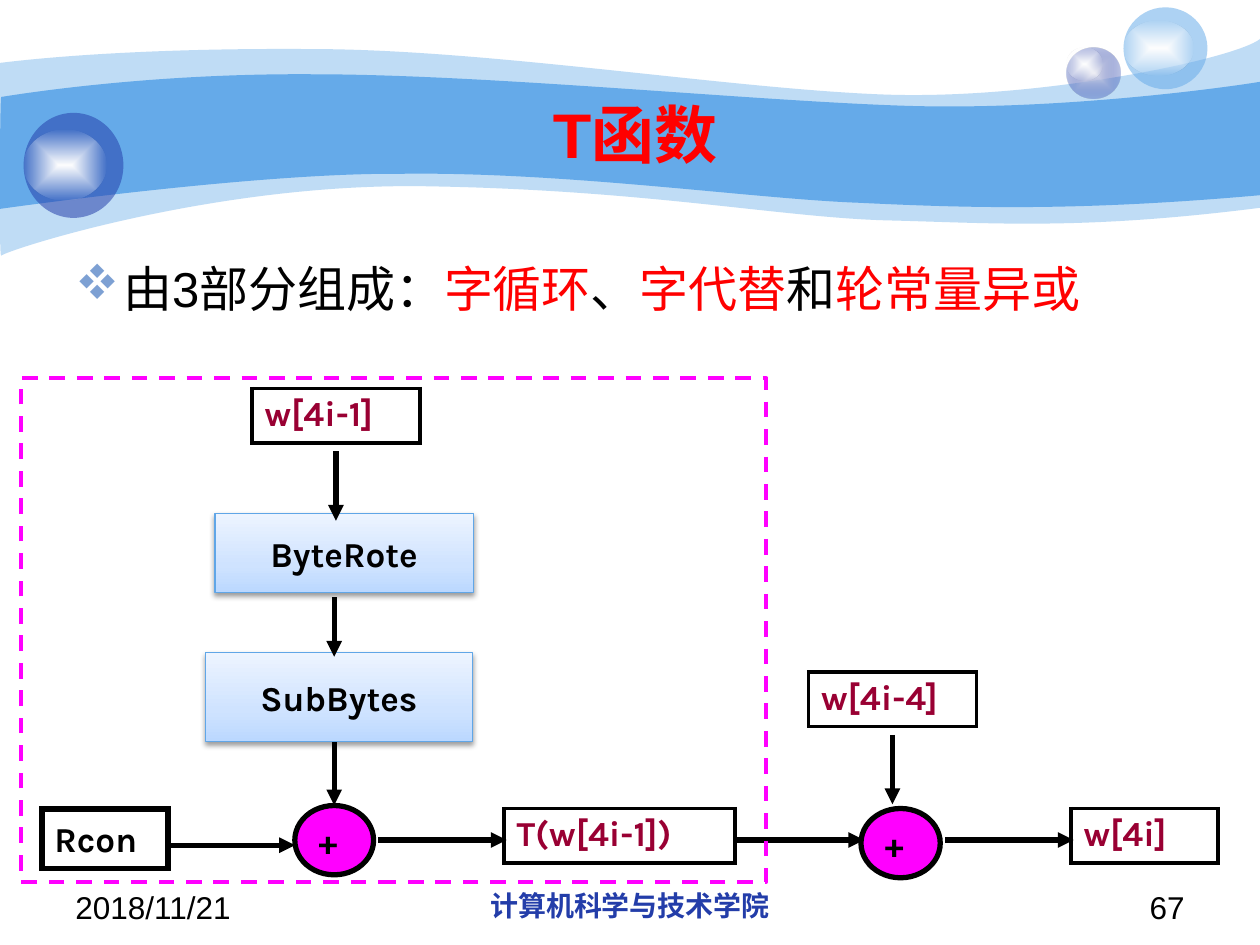
from dataclasses import dataclass
from typing import NamedTuple

from lxml.etree import SubElement as Sub
from pptx import Presentation
from pptx.dml.color import RGBColor as RGB
from pptx.enum.dml import MSO_LINE as Dash
from pptx.enum.shapes import MSO_CONNECTOR as Link, MSO_SHAPE as Kind
from pptx.enum.text import MSO_ANCHOR as Anchor, PP_ALIGN as Align
from pptx.oxml.ns import qn
from pptx.util import Inches, Pt

HUES = {"sky": "65AAE9", "navy": "233DA9", "mist": "E1E2ED", "white": "FFFFFF",
        "black": "000000", "red": "FF0000", "wine": "990033", "pink": "FF00FF",
        "edge": "60A6E7", "low": "BBD8FF", "mid": "CFE3FF", "high": "EDF4FF",
        "bullet": "7DA0D3"}
CODE = {"name": "Karla", "size": Pt(20), "bold": True}
COLS, ROWS = 120, 90  # slide grid, twelve cells to the inch

deck = Presentation()
deck.slide_width, deck.slide_height = Inches(10), Inches(7.5)
slide = deck.slides.add_slide(deck.slide_layouts[6])
shapes = slide.shapes


class Area(NamedTuple):
    x: float
    y: float
    w: float
    h: float


class Stop(NamedTuple):
    pos: int
    hue: str
    alpha: int = 100


@dataclass
class Ball:
    body: Area
    shine: Area
    stops: list[Stop]


@dataclass
class Box:
    text: str
    area: Area
    kind: Kind = Kind.RECTANGLE
    fill: str = ""  # empty means the blue gradient with a shadow


@dataclass
class Word:
    text: str
    x: float
    y: float
    w: float


@dataclass
class Arrow:
    start: tuple[float, float]
    end: tuple[float, float]


@dataclass
class Label:
    area: Area
    runs: list[tuple[str, str]]
    font: dict
    align: Align = Align.LEFT
    anchor: Anchor = Anchor.TOP
    bullet: bool = False


def place(*cells: float) -> list[int]:
    unit = (deck.slide_width / COLS, deck.slide_height / ROWS)
    return [round(c * unit[i % 2]) for i, c in enumerate(cells)]


def tint(node, hue: str, alpha: int = 100) -> None:
    color = Sub(node, qn("a:srgbClr"), val=HUES[hue])
    if alpha < 100:
        Sub(color, qn("a:alpha"), val=str(alpha * 1000))


def paint(shape, stops: list[Stop], angle: int | None = None) -> None:
    """One stop gives a plain fill, more give a gradient (radial without angle)."""
    shape.fill.background()
    props = shape._element.spPr
    none = props.find(qn("a:noFill"))
    plain = len(stops) == 1
    fill = Sub(props, qn("a:solidFill" if plain else "a:gradFill"))
    props.replace(none, fill)
    if plain:
        tint(fill, stops[0].hue, stops[0].alpha)
        return
    row = Sub(fill, qn("a:gsLst"))
    for stop in stops:
        tint(Sub(row, qn("a:gs"), pos=str(stop.pos * 1000)), stop.hue, stop.alpha)
    if angle is None:
        way = Sub(fill, qn("a:path"), path="shape")
        Sub(way, qn("a:fillToRect"), **{side: "50000" for side in "ltrb"})
    else:
        Sub(fill, qn("a:lin"), ang=str(angle * 60000), scaled="0")


def write(para, runs: list[tuple[str, str]], font: dict) -> None:
    for text, hue in runs:
        run = para.add_run()
        run.text = text
        for key, value in font.items():
            setattr(run.font, key, value)
        run.font.color.rgb = RGB.from_string(HUES[hue])


def stroke(line, hue: str, width: float) -> None:
    line.color.rgb = RGB.from_string(HUES[hue])
    line.width = Pt(width)


def add_form(kind: Kind, area: Area):
    form = shapes.add_shape(kind, *place(*area))
    form.shadow.inherit = False
    form.line.fill.background()
    return form


def add_wave(start: tuple, curves: list[tuple], alpha: int) -> None:
    """Points are hundredths of an inch; a single point is a straight side."""
    pen = shapes.build_freeform(*start, scale=Inches(0.01))
    pen.add_line_segments([dot for curve in curves for dot in curve], close=True)
    wave = pen.convert_to_shape()
    wave.shadow.inherit = False
    wave.line.fill.background()
    paint(wave, [Stop(0, "sky", alpha)])
    # Turn each run of three points into one cubic curve
    sides = iter(list(wave._element.iter(qn("a:lnTo"))))
    for curve in curves:
        group = [next(sides) for _ in curve]
        if len(group) == 3:
            group[0].tag = qn("a:cubicBezTo")
            for side in group[1:]:
                group[0].append(side[0])
                side.getparent().remove(side)


def add_ball(ball: Ball) -> None:
    glow = [Stop(0, "white"), Stop(100, "white", 0)]
    for area, stops in ((ball.body, ball.stops), (ball.shine, glow)):
        paint(add_form(Kind.OVAL, area), stops)


def add_box(box: Box) -> None:
    form = add_form(box.kind, box.area)
    frame, para = form.text_frame, form.text_frame.paragraphs[0]
    frame.word_wrap, frame.vertical_anchor = False, Anchor.MIDDLE
    para.alignment = Align.LEFT if box.fill else Align.CENTER
    write(para, [(box.text, "black")], CODE)
    if box.fill:
        paint(form, [Stop(0, box.fill)])
        stroke(form.line, "black", 3)
        Sub(form.line._get_or_add_ln(), qn("a:miter"), lim="800000")
    else:
        paint(form, [Stop(0, "low"), Stop(35, "mid"), Stop(100, "high")], 270)
        stroke(form.line, "edge", 0.75)
        cast = Sub(form._element.spPr.find(qn("a:effectLst")), qn("a:outerShdw"),
                   blurRad=str(Pt(3.1)), dist=str(Pt(1.6)), dir="5400000", rotWithShape="0")
        tint(cast, "black", 38)


def add_word(word: Word) -> None:
    """A bordered one-cell table."""
    cell = shapes.add_table(1, 1, *place(word.x, word.y, word.w, 5)).table.cell(0, 0)
    write(cell.text_frame.paragraphs[0], [(word.text, "wine")], CODE)
    props = cell._tc.get_or_add_tcPr()
    for side in "LRTB":
        edge = Sub(props, qn(f"a:ln{side}"), w=str(Pt(2.25)))
        tint(Sub(edge, qn("a:solidFill")), "black")
    cell.fill.background()


def add_arrow(arrow: Arrow) -> None:
    line = shapes.add_connector(Link.STRAIGHT, *place(*arrow.start, *arrow.end))
    stroke(line.line, "black", 3)
    Sub(line.line._get_or_add_ln(), qn("a:tailEnd"), type="triangle")
    Sub(line._element.spPr, qn("a:effectLst"))


def add_label(label: Label) -> None:
    frame = shapes.add_textbox(*place(*label.area)).text_frame
    frame.word_wrap, frame.vertical_anchor = True, label.anchor
    para = frame.paragraphs[0]
    para.alignment = label.align
    if label.bullet:
        props = para._p.get_or_add_pPr()
        props.set("marL", str(Inches(0.38)))
        props.set("indent", str(-Inches(0.38)))
        tint(Sub(props, qn("a:buClr")), "bullet")
        Sub(props, qn("a:buFont"), typeface="Wingdings", charset="2")
        Sub(props, qn("a:buChar"), char="v")  # four-diamond sign
    write(para, label.runs, label.font)


# Banner waves
add_wave((0, 50), [((24, 47), (107, 38), (247, 39)), ((386, 39), (575, 70), (699, 75)),
                   ((822, 80), (980, 47), (1000, 31)), ((1000, 165),),
                   ((858, 183), (787, 177), (705, 175)), ((622, 173), (515, 151), (343, 148)),
                   ((172, 144), (4, 199), (1, 203)), ((-1, 208), (0, 75), (0, 50))], 41)
add_wave((1, 77), [((2, 77), (110, 58), (248, 59)), ((386, 59), (595, 80), (718, 84)),
                   ((841, 88), (976, 69), (1000, 65)), ((1000, 155),),
                   ((853, 168), (765, 165), (682, 161)), ((599, 158), (447, 136), (317, 138)),
                   ((203, 137), (-2, 166), (-1, 166)), ((0, 166), (0, 77), (1, 77))], 100)

# Glass balls
for ball in (
    Ball(Area(101.6, 4.5, 5.1, 4.9), Area(101.6, 4.5, 3.4, 3.2),
         [Stop(0, "mist"), Stop(100, "navy", 31)]),
    Ball(Area(107, 0.7, 8, 7.8), Area(107, 2, 6.7, 5.2), [Stop(0, "sky", 53)]),
    Ball(Area(2.25, 10.75, 9.5, 10), Area(2.25, 12.4, 7.9, 6.7), [Stop(0, "navy", 53)]),
):
    add_ball(ball)

# Title, bullet line, footer, then the flow from back to front
FOOT = {"name": "Arial", "size": Pt(18)}
DRAW = {Arrow: add_arrow, Label: add_label, Word: add_word, Box: add_box}
for part in (
    Arrow((31.83, 70.1), (31.83, 76.7)),
    Label(Area(12, 9, 97, 7.4), [("T函数", "red")],
          {"name": "Arial", "size": Pt(36), "bold": True}, Align.CENTER, Anchor.MIDDLE),
    Label(Area(6, 24, 108, 59),
          [("由3部分组成：", "black"), ("字循环", "red"), ("、", "black"),
           ("字代替", "red"), ("和", "black"), ("轮常量异或", "red")],
          {"name": "Arial", "size": Pt(28)}, bullet=True),
    Label(Area(6, 84, 28, 4.2), [("2018/11/21", "black")], FOOT),
    Label(Area(41, 84, 38, 4.2), [("计算机科学与技术学院", "navy")],
          {"name": "Arial", "size": Pt(16), "bold": True}, Align.CENTER),
    Label(Area(86, 84, 28, 4.2), [("67", "black")], FOOT, Align.RIGHT),
    Word("w[4i-1]", 24, 37, 16),
    Box("SubBytes", Area(19.56, 62.13, 25.44, 8.5)),
    Box("ByteRote", Area(20.47, 48.9, 24.6, 7.56)),
    Arrow((31.83, 56.9), (31.83, 62.55)),
    Box("+", Area(28.08, 76.72, 7.5, 6.6), Kind.OVAL, "pink"),
    Arrow((15.7, 80.5), (28.1, 80.5)),
    Box("Rcon", Area(4, 77.05, 12, 5.64), fill="white"),
    Arrow((32, 43), (32, 49.6)),
    Word("T(w[4i-1])", 48, 77, 22),
    Box("+", Area(82, 77, 7.55, 6.6), Kind.OVAL, "pink"),
    Arrow((36, 80), (48.25, 80)),
    Arrow((70, 80), (82.3, 80)),
    Word("w[4i-4]", 77, 64, 16),
    Arrow((85, 70), (85, 76.6)),
    Arrow((90, 80), (102.25, 80)),
    Word("w[4i]", 102, 77, 14),
):
    DRAW[type(part)](part)

# Dashed frame around the T function
frame = add_form(Kind.RECTANGLE, Area(2, 36, 71, 48))
frame.fill.background()
stroke(frame.line, "pink", 2.25)
frame.line.dash_style = Dash.DASH

deck.save("out.pptx")
